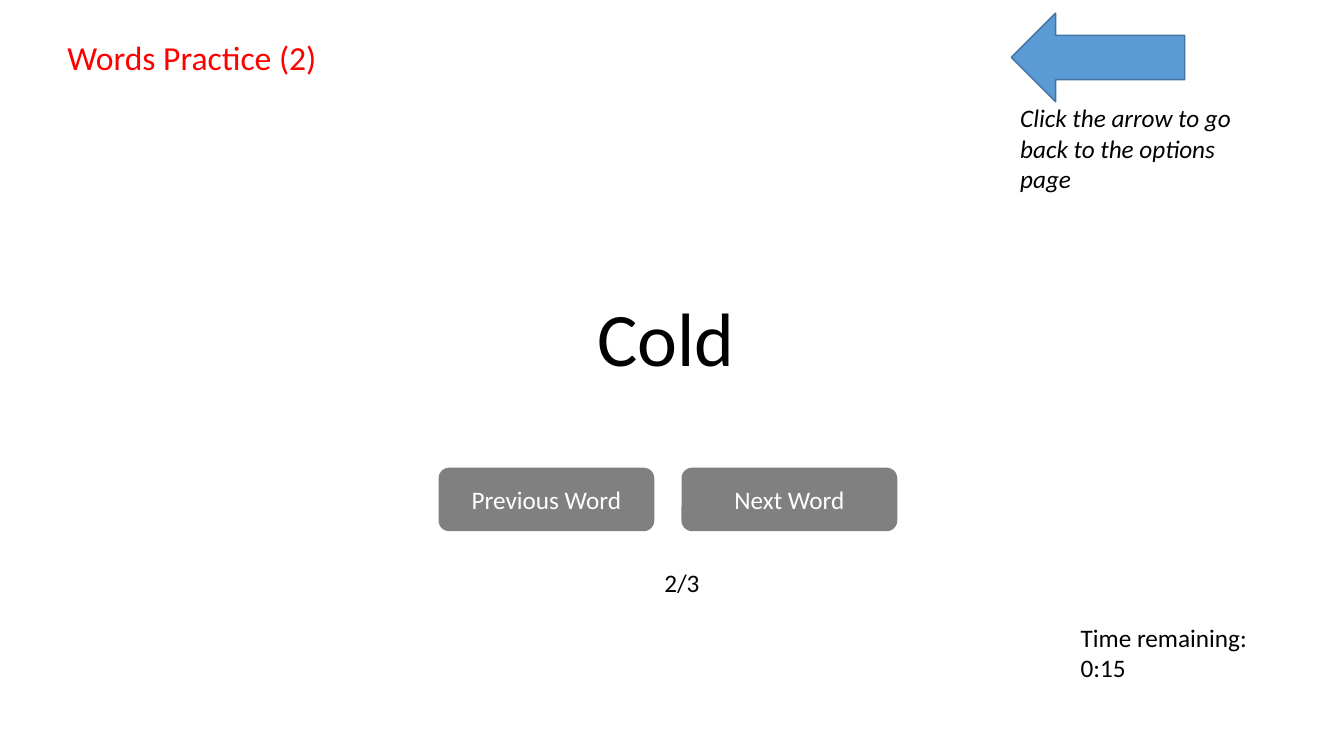
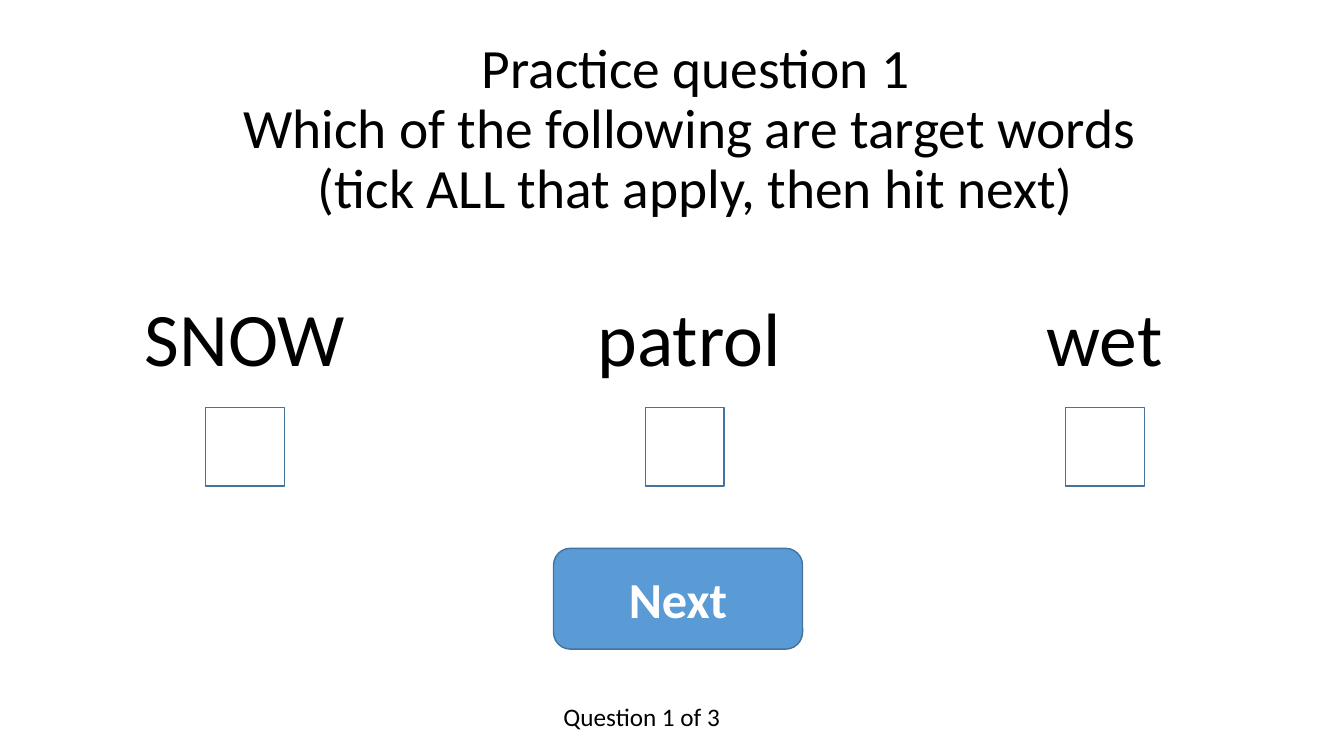
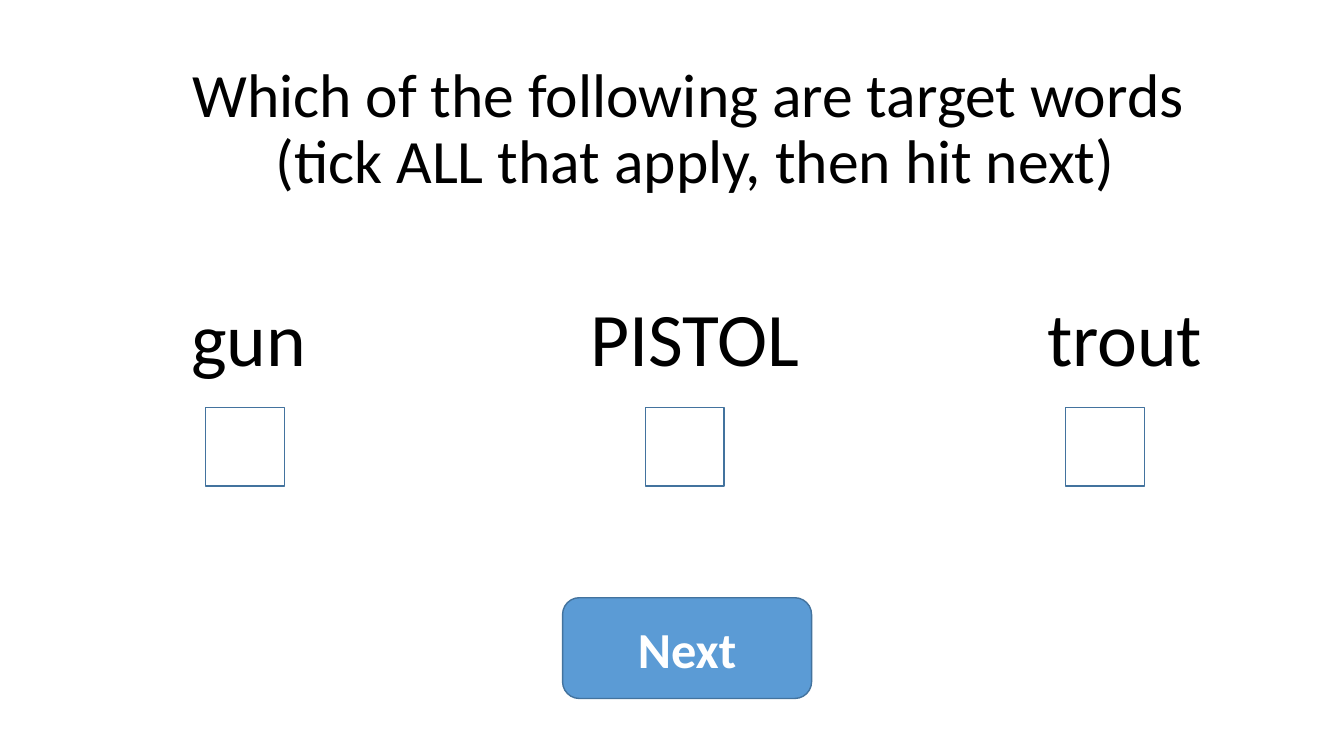
from pptx import Presentation
from pptx.dml.color import RGBColor
from pptx.enum.shapes import MSO_SHAPE
from pptx.enum.text import MSO_ANCHOR, PP_ALIGN
from pptx.util import Emu, Pt

PX = 9144
FONT = "Calibri"
BLACK = RGBColor(0x00, 0x00, 0x00)
WHITE = RGBColor(0xFF, 0xFF, 0xFF)
RED = RGBColor(0xFF, 0x00, 0x00)
GREY = RGBColor(0x80, 0x80, 0x80)
BLUE = RGBColor(0x5B, 0x9B, 0xD5)
DARK_BLUE = RGBColor(0x43, 0x73, 0x9E)
LEFT, CENTER = PP_ALIGN.LEFT, PP_ALIGN.CENTER
TOP, MIDDLE = MSO_ANCHOR.TOP, MSO_ANCHOR.MIDDLE
RECT = MSO_SHAPE.RECTANGLE
ROUND_RECT = MSO_SHAPE.ROUNDED_RECTANGLE
LEFT_ARROW = MSO_SHAPE.LEFT_ARROW

WORD_TOP, WORD_H = 284, 101
TICK_LEFTS, TICK_TOP, TICK_SIZE = (204, 640, 1057), 404, 78
BUTTON_W, BUTTON_GAP = 214, 27
PROMPT = "Which of the following are target words \v(tick ALL that apply, then hit next)"


def px(*lengths):
    """Turn px lengths into EMU."""
    return [Emu(n * PX) for n in lengths]


def fill_text(sp, text, size, color=BLACK, align=LEFT, anchor=TOP, spacing=None, **fmt):
    """Write text into a shape, one paragraph per line."""
    tf = sp.text_frame
    tf.word_wrap = True
    tf.vertical_anchor = anchor
    for i, line in enumerate(text.split("\n")):
        p = tf.add_paragraph() if i else tf.paragraphs[0]
        p.text = line
        p.alignment = align
        p.line_spacing = spacing
        for r in p.runs:
            r.font.color.rgb = color
            for name, value in {"name": FONT, "size": Pt(size), **fmt}.items():
                setattr(r.font, name, value)


def add_text(s, at, text, size=18, **fmt):
    """Add a text box."""
    fill_text(s.shapes.add_textbox(*px(*at)), text, size, **fmt)


def add_figure(s, kind, at, fill=None, line=None):
    """Add a preset shape with an optional fill and outline."""
    sp = s.shapes.add_shape(kind, *px(*at))
    sp.shadow.inherit = False
    for part, color in ((sp.fill, fill), (sp.line.fill, line)):
        if color is None:
            part.background()
        else:
            part.solid()
            part.fore_color.rgb = color
    if line is not None:
        sp.line.width = Pt(1)
    return sp


def add_button(s, at, text, size, fill, line=None, **fmt):
    """Add a rounded button with a centred label."""
    sp = add_figure(s, ROUND_RECT, at, fill, line)
    fill_text(sp, text, size, color=WHITE, align=CENTER, anchor=MIDDLE, **fmt)


def add_word(s, text, left, width):
    """Add a large centred word."""
    add_text(s, (left, WORD_TOP, width, WORD_H), text, 54, align=CENTER)


def add_question(s, title, title_size, words, next_at):
    """Add a question with three words, tick boxes and a Next button."""
    add_text(s, (115, 57, 1150, 145), title, title_size,
             align=CENTER, anchor=MIDDLE, spacing=0.9)
    for word, tick_left in zip(words, TICK_LEFTS):
        add_word(s, *word)
        add_figure(s, RECT, (tick_left, TICK_TOP, TICK_SIZE, TICK_SIZE), line=DARK_BLUE)
    add_button(s, (*next_at, 247, 100), "Next", 36, BLUE, DARK_BLUE, bold=True)


def add_practice(s):
    """Add the word practice page."""
    add_text(s, (57, 32, 310, 50), "Words Practice (2)", 24, color=RED)
    add_word(s, "Cold", 505, 311)
    add_figure(s, LEFT_ARROW, (1003, 13, 172, 88), BLUE, DARK_BLUE)
    add_text(s, (1002, 97, 233, 101), "Click the arrow to go back to the options page", italic=True)
    for i, label in enumerate(("Previous Word", "Next Word")):
        left = 435 + i * (BUTTON_W + BUTTON_GAP)
        add_button(s, (left, 464, BUTTON_W, 63), label, 18, GREY)
    add_text(s, (1062, 612, 224, 71), "Time remaining:\n0:15")
    add_text(s, (649, 558, 104, 40), "2/3")


def main():
    """Build and save the slides."""
    prs = Presentation()
    prs.slide_width, prs.slide_height = px(1333, 750)
    practice, first, second = [prs.slides.add_slide(prs.slide_layouts[6]) for _ in range(3)]
    add_practice(practice)
    add_question(first, "Practice question 1\v" + PROMPT, 39.6,
                 (("SNOW", 54, 378), ("patrol", 578, 211), ("wet", 965, 261)), (549, 544))
    add_text(first, (549, 691, 201, 40), "Question 1 of 3")
    add_question(second, PROMPT, 44,
                 (("gun", 71, 351), ("PISTOL", 490, 398), ("trout", 961, 309)), (558, 593))
    prs.save("out.pptx")


if __name__ == "__main__":
    main()
